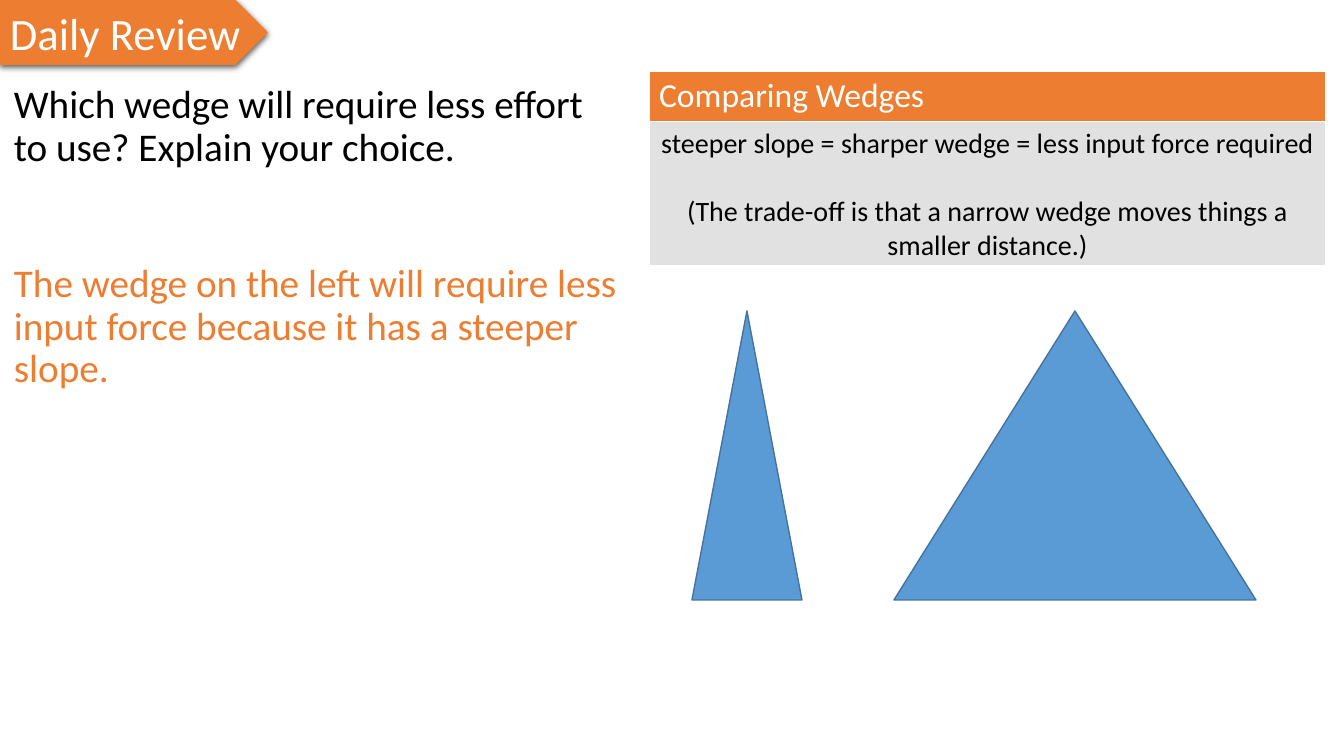
from pptx import Presentation
from pptx import util as u
from pptx.dml.color import RGBColor
from pptx.enum import shapes, text
from pptx.oxml import parse_xml
from pptx.oxml.ns import nsdecls, qn

PX = 12192000 / 1344
ORANGE, BLUE, NAVY, GREY = "ED7D31", "5B9BD5", "43739E", "E1E1E1"
BLACK, WHITE = "000000", "FFFFFF"


def px(length):
    return u.Emu(round(length * PX))


def color(value):
    return RGBColor.from_string(value)


class ReviewSlide:
    font = "Calibri"

    def __init__(self, prs):
        self.shapes = prs.slides.add_slide(prs.slide_layouts[6]).shapes

    def set_text(self, frame, lines, size, ink, align=text.PP_ALIGN.LEFT, spacing=1.0, gap=0):
        for i, line in enumerate(lines):
            para = frame.paragraphs[0] if i == 0 else frame.add_paragraph()
            para.text = line
            para.alignment = align
            para.line_spacing = spacing
            if i:
                para.space_before = u.Pt(gap)
            para.font.name = self.font
            para.font.size = u.Pt(size)
            para.font.bold = False
            para.font.color.rgb = color(ink)

    def paragraph_box(self, x, y, w, h, wording, ink):
        frame = self.shapes.add_textbox(px(x), px(y), px(w), px(h)).text_frame
        frame.word_wrap = True
        self.set_text(frame, [wording], 28, ink, spacing=0.9)

    def preset(self, kind, x, y, w, h, fill, line=None):
        shape = self.shapes.add_shape(kind, px(x), px(y), px(w), px(h))
        shape.shadow.inherit = False
        shape.fill.solid()
        shape.fill.fore_color.rgb = color(fill)
        if line:
            shape.line.color.rgb = color(line)
            shape.line.width = u.Pt(1)
        else:
            shape.line.fill.background()
        return shape

    def banner(self, x, y, w, h, wording):
        banner = self.preset(shapes.MSO_SHAPE.PENTAGON, x, y, w, h, ORANGE)
        effects = banner.element.spPr.find(qn("a:effectLst"))
        effects.append(parse_xml(
            f'<a:outerShdw {nsdecls("a")} blurRad="57150" dist="19050" dir="5400000" '
            f'algn="ctr" rotWithShape="0"><a:srgbClr val="{BLACK}">'
            '<a:alpha val="63000"/></a:srgbClr></a:outerShdw>'))
        frame = banner.text_frame
        frame.word_wrap = False
        frame.auto_size = text.MSO_AUTO_SIZE.SHAPE_TO_FIT_TEXT
        self.set_text(frame, [wording], 32, WHITE)

    def wedge(self, x, y, w, h):
        self.preset(shapes.MSO_SHAPE.ISOSCELES_TRIANGLE, x, y, w, h, BLUE, NAVY)

    def cell(self, cell, fill, lines, size, ink, align, gap=0):
        props = cell._tc.get_or_add_tcPr()
        for side in ("lnL", "lnR", "lnT", "lnB"):
            props.append(parse_xml(
                f'<a:{side} {nsdecls("a")} w="12700"><a:solidFill>'
                f'<a:srgbClr val="{WHITE}"/></a:solidFill></a:{side}>'))
        cell.fill.solid()
        cell.fill.fore_color.rgb = color(fill)
        self.set_text(cell.text_frame, lines, size, ink, align, gap=gap)

    def note_table(self, x, y, w, heights, heading, notes):
        table = self.shapes.add_table(2, 1, px(x), px(y), px(w), px(sum(heights))).table
        table.first_row = table.horz_banding = False
        for row, height in zip(table.rows, heights):
            row.height = px(height)
        self.cell(table.cell(0, 0), ORANGE, [heading], 24, WHITE, text.PP_ALIGN.LEFT)
        self.cell(table.cell(1, 0), GREY, notes, 20, BLACK, text.PP_ALIGN.CENTER, gap=24)


def main():
    prs = Presentation()
    prs.slide_width, prs.slide_height = px(1344), px(756)
    review = ReviewSlide(prs)

    # Question, title banner and answer
    review.paragraph_box(4, 80, 625, 154,
                         "Which wedge will require less effort to use? Explain your choice.", BLACK)
    review.banner(0, 0, 268, 65, "Daily Review")
    review.paragraph_box(4, 259, 625, 247,
                         "The wedge on the left will require less input force because "
                         "it has a steeper slope.", ORANGE)

    # Narrow and wide wedges on one base line
    for left, width in ((692, 110), (894, 362)):
        review.wedge(left, 311, width, 289)

    # Rule for comparing wedges
    review.note_table(649, 71, 677, (50, 144), "Comparing Wedges", [
        "steeper slope = sharper wedge = less input force required",
        "(The trade-off is that a narrow wedge moves things a smaller distance.)"])

    prs.save("out.pptx")


if __name__ == "__main__":
    main()
